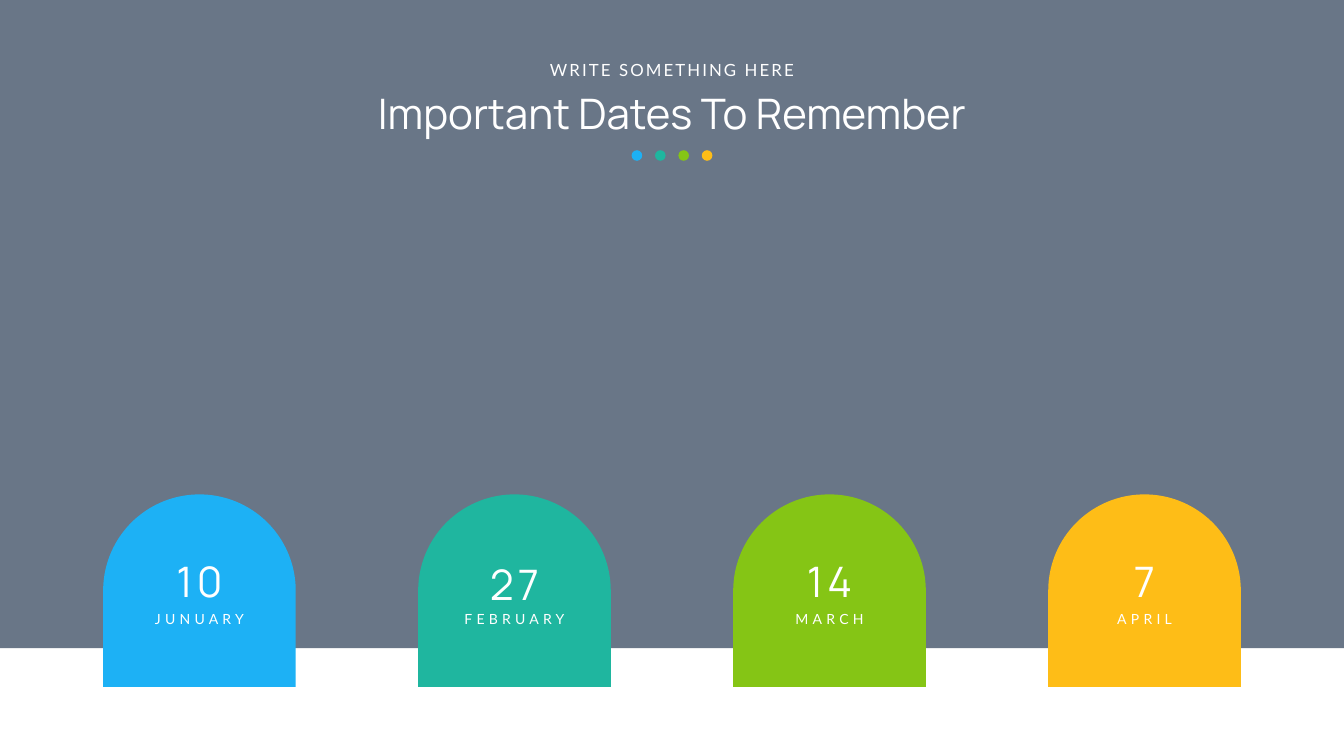
from dataclasses import dataclass
from lxml import etree
from pptx import Presentation
from pptx.dml.color import RGBColor
from pptx.enum.shapes import MSO_SHAPE
from pptx.enum.text import MSO_ANCHOR, MSO_AUTO_SIZE, PP_ALIGN
from pptx.oxml.ns import qn
from pptx.slide import Slide
from pptx.util import Inches, Pt

RECT, DOT, ARCH = MSO_SHAPE.RECTANGLE, MSO_SHAPE.OVAL, MSO_SHAPE.FLOWCHART_DELAY
MIDDLE, CENTER, FIXED = MSO_ANCHOR.MIDDLE, PP_ALIGN.CENTER, MSO_AUTO_SIZE.NONE

WHITE = RGBColor(0xFF, 0xFF, 0xFF)
SLATE = RGBColor(0x44, 0x54, 0x69)
BLUE = RGBColor(0x1D, 0xB1, 0xF5)
TEAL = RGBColor(0x1F, 0xB6, 0x9F)
GREEN = RGBColor(0x85, 0xC5, 0x15)
GOLD = RGBColor(0xFE, 0xBD, 0x17)

WIDTH, HEIGHT = 26.66, 15
MID = 50
DATES = [
    ("10", "JUNUARY", BLUE, 76.83),
    ("27", "FEBRUARY", TEAL, 77.17),
    ("14", "MARCH", GREEN, 76.83),
    ("7", "APRIL", GOLD, 76.83),
]


@dataclass
class Board:
    """Slide with a 100 by 100 grid; items are placed by their centre."""
    slide: Slide
    head: str = "Manrope"
    body: str = "Lato"
    ink: RGBColor = WHITE

    def box(self, col, row, cols, rows):
        """Return left, top, width and height of a centred grid box."""
        return (Inches((col - cols / 2) * WIDTH / 100),
                Inches((row - rows / 2) * HEIGHT / 100),
                Inches(cols * WIDTH / 100), Inches(rows * HEIGHT / 100))

    def shape(self, kind, spot, color, turn=0):
        """Add a plain filled shape."""
        item = self.slide.shapes.add_shape(kind, *self.box(*spot))
        item.shadow.inherit = False
        item.fill.solid()
        item.fill.fore_color.rgb = color
        item.line.fill.background()
        item.rotation = turn
        return item

    def ground(self, spot, color, alpha):
        """Add a see-through panel behind the title."""
        item = self.shape(RECT, spot, color)
        tint = item.element.spPr.find(".//" + qn("a:srgbClr"))
        etree.SubElement(tint, qn("a:alpha"), val=str(alpha * 1000))
        self.slide.shapes.title.element.addprevious(item.element)

    def letter(self, item, text, font, size, gap=0):
        """Fill and format the text of an item."""
        frame = item.text_frame
        frame.text = text
        frame.word_wrap = True
        frame.auto_size = FIXED
        frame.vertical_anchor = MIDDLE
        frame.margin_top = frame.margin_bottom = Inches(0.05)
        line = frame.paragraphs[0]
        line.alignment = CENTER
        run = line.runs[0]
        run.font.name = font
        run.font.size = Pt(size)
        run.font.color.rgb = self.ink
        if gap:
            run._r.get_or_add_rPr().set("spc", str(gap * 100))

    def title(self, text, spot):
        """Place and format the title placeholder."""
        item = self.slide.shapes.title
        item.left, item.top, item.width, item.height = self.box(*spot)
        self.letter(item, text, self.head, 60)

    def label(self, text, spot, font, size, gap):
        """Add a centred text box."""
        item = self.slide.shapes.add_textbox(*self.box(*spot))
        self.letter(item, text, font, size, gap)


def main():
    """Build and save the dates slide."""
    deck = Presentation()
    deck.slide_width, deck.slide_height = Inches(WIDTH), Inches(HEIGHT)
    board = Board(deck.slides.add_slide(deck.slide_layouts[5]))
    board.ground((MID, 42.87, 100, 85.73), SLATE, 80)
    board.title("Important Dates To Remember", (MID, 14.9, 60.24, 7.4))
    board.label("WRITE SOMETHING HERE", (MID, 9.2, 19.28, 3.33), board.body, 24, 3)
    for place, (day, month, color, row) in enumerate(DATES):
        step = place - (len(DATES) - 1) / 2
        col = MID + step * 23.44
        board.shape(DOT, (MID + step * 1.74, 20.57, 0.79, 1.4), color)
        board.shape(ARCH, (col, 78.13, 14.33, 25.47), color, 270)
        board.label(day, (col, row, 10, 7.4), board.head, 60, 6)
        board.label(month, (col, 81.93, 10, 2.93), board.body, 20, 6)
    deck.save("out.pptx")


if __name__ == "__main__":
    main()
